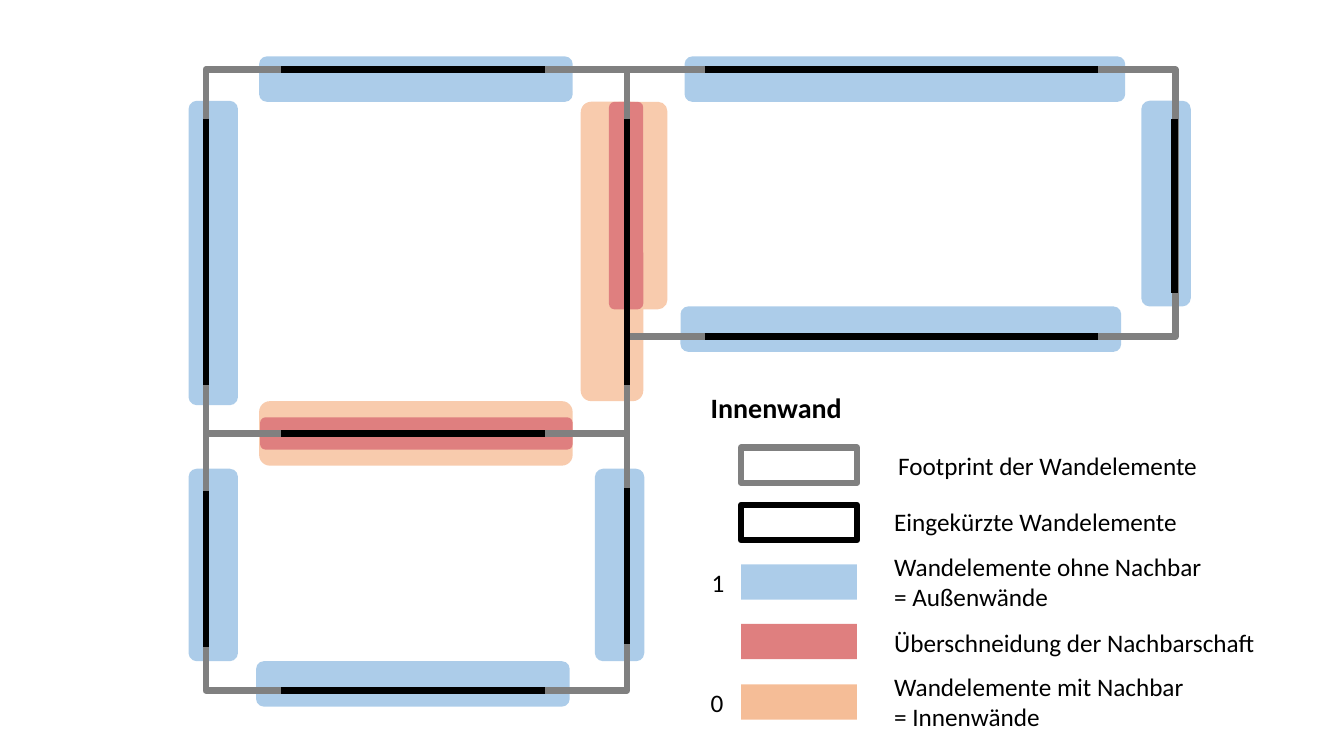
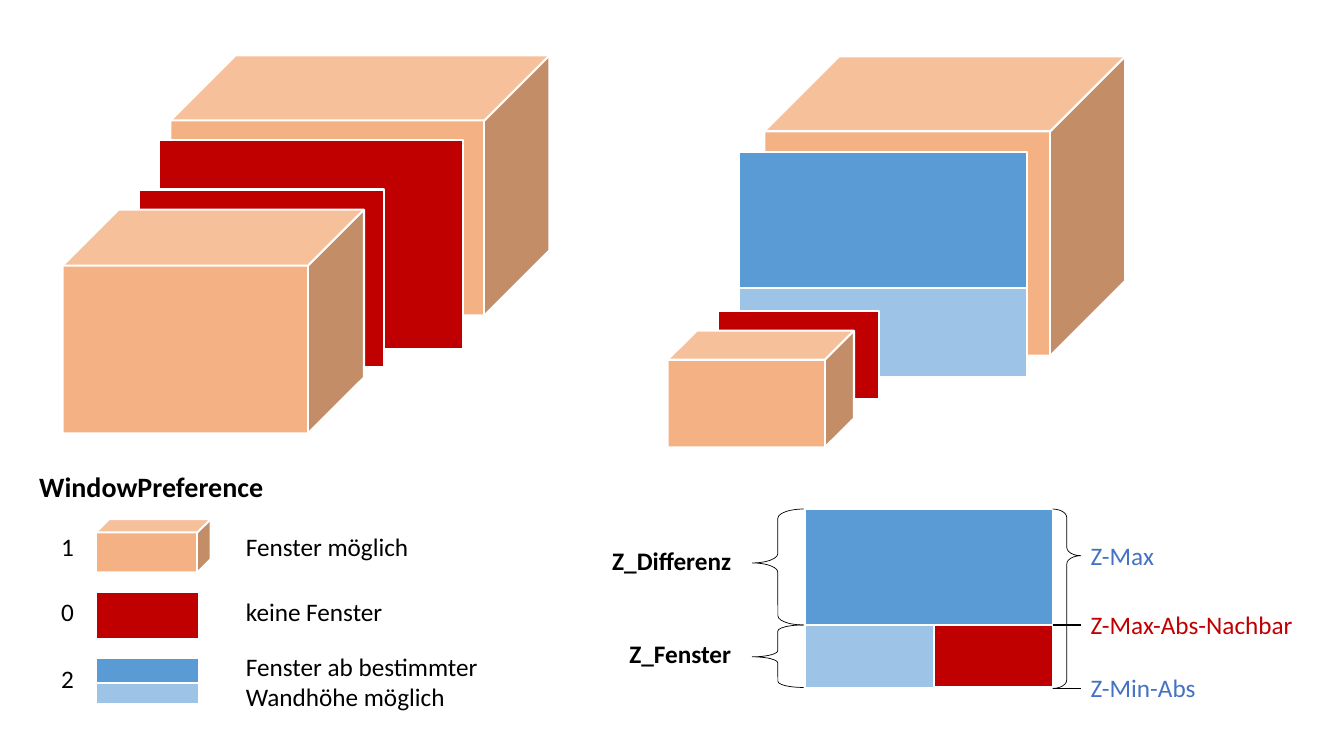
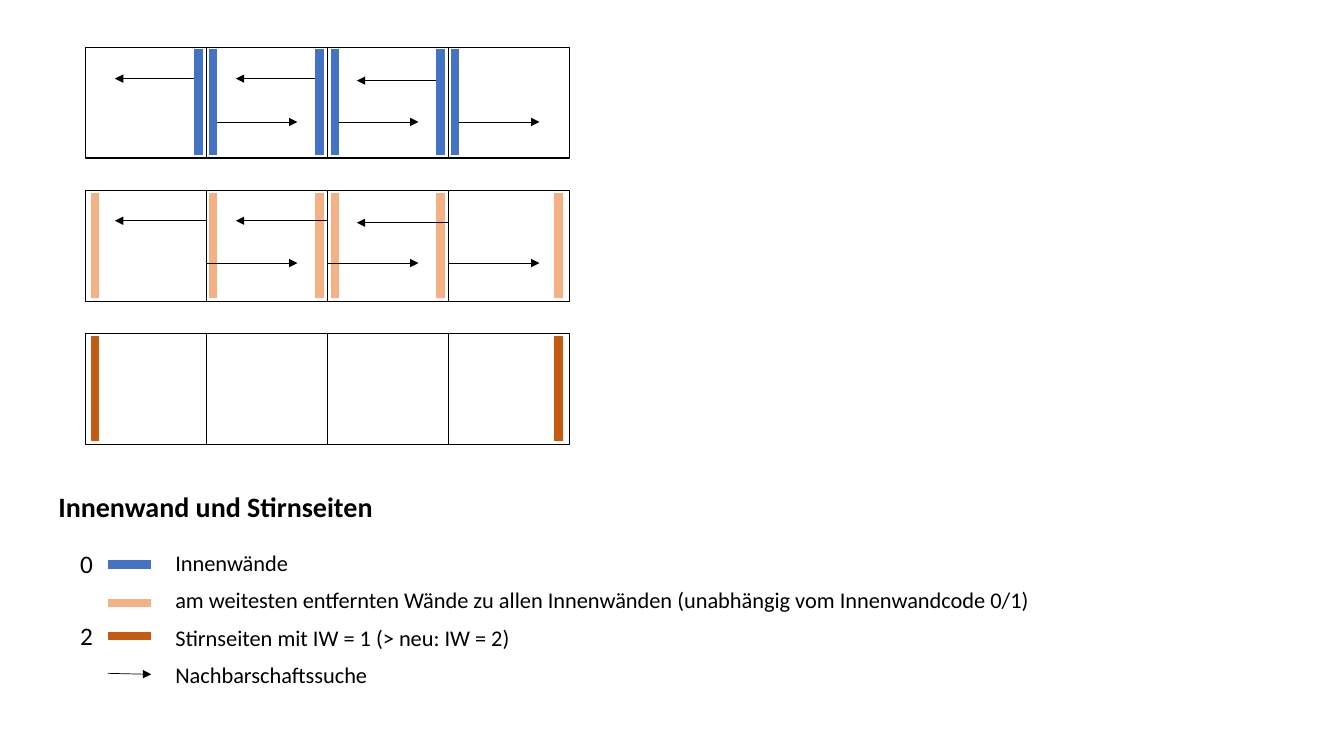
from dataclasses import dataclass
from typing import NamedTuple, Optional

import lxml.etree
import pptx
import pptx.dml.color
import pptx.enum.shapes
import pptx.enum.text
import pptx.oxml.ns
import pptx.slide
import pptx.util

Inches = pptx.util.Inches
Preset = pptx.enum.shapes.MSO_SHAPE
Align = pptx.enum.text.PP_ALIGN
qn = pptx.oxml.ns.qn

FONT = "Calibri"
COLORS = {
    "black": "000000", "white": "FFFFFF", "gray": "808080",
    "blue": "5B9BD5", "pale_blue": "9DC3E6", "royal": "4472C4",
    "red": "C00000", "rose": "DF7F7F",
    "orange": "ED7D31", "peach": "F8CBAD", "apricot": "F4B183", "rust": "C55A11",
}


class Area(NamedTuple):
    left: float
    top: float
    width: float
    height: float


class Segment(NamedTuple):
    x1: float
    y1: float
    x2: float
    y2: float


@dataclass
class Look:
    preset: Preset = Preset.RECTANGLE
    fill: Optional[str] = None
    line: Optional[str] = None
    weight: float = 1
    opacity: int = 100
    adjust: tuple[float, ...] = ()


@dataclass
class Label:
    text: str
    area: Area
    size: int = 18
    color: str = "black"
    bold: bool = False
    align: Align = Align.LEFT


@dataclass
class HouseRow:
    """A row of terraced houses, its wall bars and the neighbour search arrows."""
    top: float
    color: str
    bars: tuple[float, ...]
    arrow_starts: tuple[float, float] = (0, 0)  # distance left and right of a wall
    arrow_drops: tuple[float, ...] = ()  # left-going and right-going
    arrows_in_front: bool = False


def rgb(name: str) -> pptx.dml.color.RGBColor:
    return pptx.dml.color.RGBColor.from_string(COLORS[name])


def draw_shape(page: pptx.slide.Slide, look: Look, area: Area) -> None:
    shape = page.shapes.add_shape(look.preset, *map(Inches, area))
    shape.shadow.inherit = False
    for index, value in enumerate(look.adjust):
        shape.adjustments[index] = value
    if look.fill:
        shape.fill.solid()
        shape.fill.fore_color.rgb = rgb(look.fill)
        if look.opacity < 100:
            color = shape.element.spPr.find(f"{qn('a:solidFill')}/{qn('a:srgbClr')}")
            lxml.etree.SubElement(color, qn("a:alpha"), val=str(look.opacity * 1000))
    else:
        shape.fill.background()
    if look.line:
        shape.line.color.rgb = rgb(look.line)
        shape.line.width = pptx.util.Pt(look.weight)
    else:
        shape.line.fill.background()


def draw_line(page: pptx.slide.Slide, segment: Segment, color: str = "black",
              weight: float = 0.5, arrow: bool = False) -> None:
    line = page.shapes.add_connector(
        pptx.enum.shapes.MSO_CONNECTOR.STRAIGHT, *map(Inches, segment))
    line.line.color.rgb = rgb(color)
    line.line.width = pptx.util.Pt(weight)
    properties = line.element.spPr
    if arrow:
        lxml.etree.SubElement(properties.find(qn("a:ln")), qn("a:tailEnd"), type="triangle")
    lxml.etree.SubElement(properties, qn("a:effectLst"))


def draw_label(page: pptx.slide.Slide, label: Label) -> None:
    frame = page.shapes.add_textbox(*map(Inches, label.area)).text_frame
    frame.word_wrap = True
    frame.auto_size = pptx.enum.text.MSO_AUTO_SIZE.SHAPE_TO_FIT_TEXT
    frame.text = label.text
    for para in frame.paragraphs:
        para.alignment = label.align
        para.font.name = FONT
        para.font.size = pptx.util.Pt(label.size)
        para.font.bold = label.bold
        para.font.color.rgb = rgb(label.color)


def draw_heading(page: pptx.slide.Slide, text: str, left: float, top: float) -> None:
    draw_label(page, Label(text, Area(left, top, 4.62, 0.44), size=20, bold=True))


def draw_code(page: pptx.slide.Slide, code: str, left: float, top: float) -> None:
    """Right-aligned code number in front of a legend entry."""
    draw_label(page, Label(code, Area(left, top, 0.54, 0.4), align=Align.RIGHT))


def build_inner_walls(page: pptx.slide.Slide) -> None:
    rounded = Preset.ROUNDED_RECTANGLE
    footprint = Look(line="gray", weight=4.5)
    shortened = Look(line="black", weight=4.5)
    floor_plan = [
        (Look(rounded, "peach"), [
            Area(5.76, 1.01, 0.62, 2.97), Area(6.05, 1.01, 0.57, 2.06),
            Area(2.57, 3.98, 3.11, 0.64)]),
        (Look(rounded, "blue", opacity=50), [
            Area(6.79, 0.56, 4.37, 0.45), Area(6.75, 3.04, 4.37, 0.45),
            Area(2.54, 6.56, 3.11, 0.45), Area(2.57, 0.56, 3.11, 0.45),
            Area(11.32, 1, 0.49, 2.04), Area(5.9, 4.65, 0.49, 1.91),
            Area(1.87, 4.65, 0.49, 1.91), Area(1.87, 1, 0.49, 3.02)]),
        (Look(rounded, "rose"), [
            Area(2.58, 4.14, 3.1, 0.32), Area(6.04, 1.01, 0.34, 2.06)]),
        (footprint, [
            Area(2.04, 0.69, 4.18, 3.61), Area(6.22, 0.69, 5.44, 2.65),
            Area(2.04, 4.3, 4.18, 2.55)]),
    ]
    for look, areas in floor_plan:
        for area in areas:
            draw_shape(page, look, area)

    horizontal = [(6.99, 10.89, 0.69), (6.99, 10.89, 3.34),
                  (2.79, 5.41, 0.69), (2.79, 5.41, 4.3), (2.79, 5.41, 6.85)]
    vertical = [(2.04, 1.18, 3.82), (6.22, 1.18, 3.82), (11.65, 1.18, 2.91),
                (6.22, 4.84, 6.39), (2.04, 4.87, 6.42)]
    walls = [Segment(x1, y, x2, y) for x1, x2, y in horizontal]
    walls += [Segment(x, y1, x, y2) for x, y1, y2 in vertical]
    for wall in walls:
        draw_line(page, wall, weight=4.5)

    draw_heading(page, "Innenwand", 6.95, 3.82)
    legend = [
        (footprint, 4.44, "Footprint der Wandelemente", 8.81, 4.42),
        (shortened, 5.01, "Eingekürzte Wandelemente", 8.77, 4.97),
        (Look(fill="blue", opacity=50), 5.6,
         "Wandelemente ohne Nachbar\n= Außenwände", 8.77, 5.42),
        (Look(fill="red", opacity=50), 6.19,
         "Überschneidung der Nachbarschaft", 8.77, 6.17),
        (Look(fill="orange", opacity=50), 6.79,
         "Wandelemente mit Nachbar\n= Innenwände", 8.77, 6.61),
    ]
    for look, swatch_top, text, left, top in legend:
        draw_shape(page, look, Area(7.35, swatch_top, 1.15, 0.35))
        height = 0.71 if "\n" in text else 0.4
        draw_label(page, Label(text, Area(left, top, 3.92, height)))
    for code, left, top in [("1", 6.96, 5.58), ("0", 6.95, 6.77)]:
        draw_label(page, Label(code, Area(left, top, 0.57, 0.4)))


def build_window_preference(page: pptx.slide.Slide) -> None:
    building = Look(Preset.CUBE, "apricot", "white", 1.5)
    no_window, upper, lower = (
        Look(fill=color, line="white", weight=1.5) for color in ("red", "blue", "pale_blue"))
    pieces = [
        # Equal neighbours
        (building, Area(1.69, 0.55, 3.76, 2.58)),
        (no_window, Area(1.58, 1.39, 3.01, 2.07)),
        (no_window, Area(1.38, 1.88, 2.43, 1.76)),
        (building, Area(0.62, 2.08, 2.99, 2.22)),
        # Lower neighbour
        (building, Area(7.58, 0.56, 3.58, 2.97)),
        (lower, Area(7.33, 1.51, 2.86, 2.23)),
        (upper, Area(7.33, 1.51, 2.86, 1.35)),
        (no_window, Area(7.12, 3.09, 1.6, 0.87)),
        (building, Area(6.62, 3.28, 1.85, 1.16)),
        # Legend
        (building, Area(0.95, 5.15, 1.14, 0.53)),
        (no_window, Area(0.95, 5.87, 1.03, 0.47)),
        (lower, Area(0.95, 6.78, 1.03, 0.21)),
        (upper, Area(0.95, 6.53, 1.03, 0.25)),
        # Wall heights
        (lower, Area(7.98, 5.05, 2.47, 1.78)),
        (upper, Area(7.98, 5.05, 2.47, 1.15)),
        (no_window, Area(9.26, 6.2, 1.18, 0.62)),
    ]
    braces = [
        (Preset.LEFT_BRACE, (0.18, 0.465), Area(7.46, 5.05, 0.51, 1.15)),
        (Preset.LEFT_BRACE, (0.12, 0.51), Area(7.46, 6.2, 0.51, 0.62)),
        (Preset.RIGHT_BRACE, (0.3, 0.26), Area(10.44, 5.05, 0.28, 1.78)),
    ]
    pieces += [(Look(preset, line="black", weight=0.5, adjust=adjust), area)
               for preset, adjust, area in braces]
    for look, area in pieces:
        draw_shape(page, look, area)
    for y, weight in [(6.2, 1), (6.83, 0.5)]:
        draw_line(page, Segment(10.72, y, 10.44, y), weight=weight)

    for text, top in [("Z_Differenz", 5.36), ("Z_Fenster", 6.28)]:
        draw_label(page, Label(text, Area(5.83, top, 1.52, 0.4), bold=True, align=Align.RIGHT))
    for text, top, color in [("Z-Max", 5.31, "royal"), ("Z-Max-Abs-Nachbar", 6, "red"),
                             ("Z-Min-Abs", 6.62, "royal")]:
        draw_label(page, Label(text, Area(10.72, top, 2.3, 0.4), color=color))

    draw_heading(page, "WindowPreference", 0.29, 4.61)
    legend = [
        ("1", 5.22, "Fenster möglich", 5.22, 0.4),
        ("0", 5.87, "keine Fenster", 5.87, 0.4),
        ("2", 6.53, "Fenster ab bestimmter Wandhöhe möglich", 6.41, 0.71),
    ]
    for code, code_top, text, top, height in legend:
        draw_code(page, code, 0.29, code_top)
        draw_label(page, Label(text, Area(2.34, top, 3.18, height)))


def draw_house_row(page: pptx.slide.Slide, row: HouseRow) -> None:
    first, width, count = 0.85, 1.2, 4

    def draw_arrows() -> None:
        if not row.arrow_drops:
            return
        before, after = row.arrow_starts
        for number in range(1, count):
            wall = first + number * width
            left_y, right_y = (row.top + drop for drop in row.arrow_drops)
            if number == count - 1:
                left_y += 0.02
            draw_line(page, Segment(wall - before, left_y, wall - 0.91, left_y), arrow=True)
            draw_line(page, Segment(wall + after, right_y, wall + 0.9, right_y), arrow=True)

    if not row.arrows_in_front:
        draw_arrows()
    for number in range(count):
        draw_shape(page, Look(line="black"), Area(first + number * width, row.top, width, 1.1))
    for x in row.bars:
        draw_line(page, Segment(x, row.top + 0.02, x, row.top + 1.07), row.color, 6)
    if row.arrows_in_front:
        draw_arrows()


def build_end_walls(page: pptx.slide.Slide) -> None:
    middle_bars, end_bars = (2.11, 3.17, 3.32, 4.37), (0.94, 5.54)
    rows = [
        HouseRow(0.47, "royal", (1.97, *middle_bars, 4.51), (0.08, 0.06), (0.31, 0.74)),
        HouseRow(1.89, "apricot", middle_bars + end_bars, (0, 0), (0.3, 0.72), True),
        HouseRow(3.31, "rust", end_bars),
    ]
    for row in rows:
        draw_house_row(page, row)

    draw_heading(page, "Innenwand und Stirnseiten", 0.48, 4.81)
    for code, top in [("0", 5.39), ("2", 6.1)]:
        draw_code(page, code, 0.48, top)
    legend = [
        ("Innenwände", 5.6, "royal"),
        ("am weitesten entfernten Wände zu allen Innenwänden "
         "(unabhängig vom Innenwandcode 0/1)", 5.98, "apricot"),
        ("Stirnseiten mit IW = 1 (> neu: IW = 2)", 6.31, "rust"),
    ]
    for text, y, color in legend:
        draw_line(page, Segment(1.07, y, 1.5, y), color, 6)
    draw_line(page, Segment(1.07, 6.68, 1.5, 6.69), arrow=True)
    texts = [text for text, *_ in legend] + ["Nachbarschaftssuche"]
    for index, text in enumerate(texts):
        draw_label(page, Label(text, Area(1.64, 5.4 + index * 0.37, 8.75, 0.37), size=16))


def main() -> None:
    deck = pptx.Presentation()
    deck.slide_width, deck.slide_height = Inches(13.33), Inches(7.5)
    for build in (build_inner_walls, build_window_preference, build_end_walls):
        build(deck.slides.add_slide(deck.slide_layouts[6]))
    deck.save("out.pptx")


if __name__ == "__main__":
    main()
